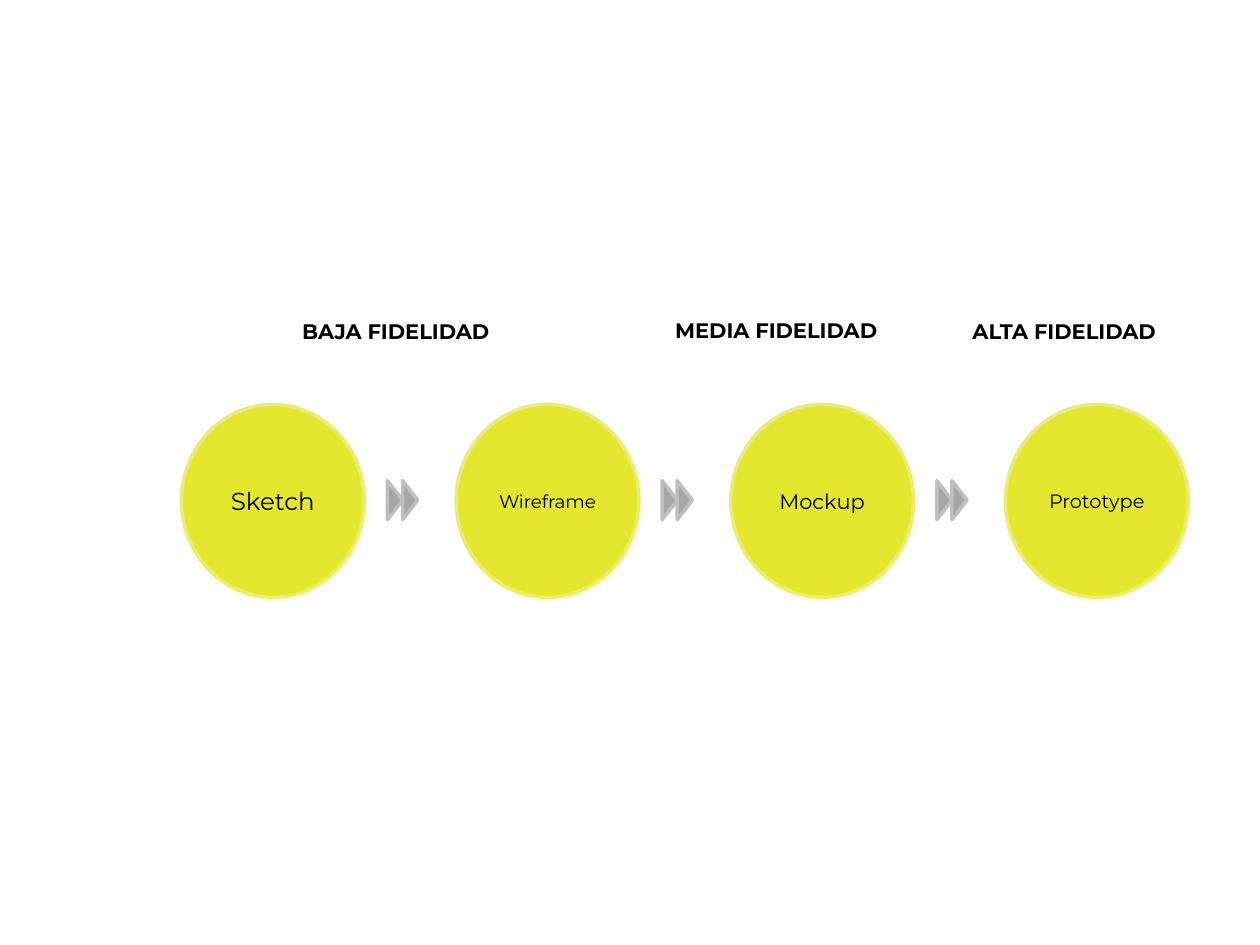
from pptx import Presentation
from pptx.dml.color import RGBColor
from pptx.enum.shapes import MSO_SHAPE
from pptx.enum.text import MSO_ANCHOR, PP_ALIGN
from pptx.util import Inches, Pt

CIRCLE = MSO_SHAPE.FLOWCHART_CONNECTOR
TRIANGLE = MSO_SHAPE.ISOSCELES_TRIANGLE
MIDDLE = MSO_ANCHOR.MIDDLE
CENTER = PP_ALIGN.CENTER

FONT = "Montserrat"
BLACK = "000000"

# Stage grid, in inches
FIRST_LEFT, PITCH = 1.44, 2.18
CIRCLE_TOP, CIRCLE_WIDTH, CIRCLE_HEIGHT = 3.21, 1.45, 1.53
ARROW_LEFT, ARROW_TOP, ARROW_STEP = 2.98, 3.91, 0.12
ARROW_WIDTH, ARROW_HEIGHT = 0.31, 0.12

# Stage name and text size
STAGES = [("Sketch", 14), ("Wireframe", 10.5), ("Mockup", 12), ("Prototype", 11)]
# Heading text, left and top
HEADINGS = [
    ("BAJA FIDELIDAD", 2.3, 2.48),
    ("MEDIA FIDELIDAD", 5.26, 2.47),
    ("ALTA FIDELIDAD", 7.62, 2.48),
]


def color(value):
    return RGBColor.from_string(value)


def write(paragraph, text, size, bold=False):
    paragraph.text = text
    paragraph.font.name = FONT
    paragraph.font.size = Pt(size)
    paragraph.font.bold = bold
    paragraph.font.color.rgb = color(BLACK)


def add_outlined(slide, kind, left, top, width, height, fill, line):
    shape = slide.shapes.add_shape(
        kind, Inches(left), Inches(top), Inches(width), Inches(height))
    shape.shadow.inherit = False
    shape.fill.solid()
    shape.fill.fore_color.rgb = color(fill)
    shape.line.color.rgb = color(line)
    shape.line.width = Pt(2)
    return shape


def add_stage(slide, column, name, size):
    circle = add_outlined(slide, CIRCLE, FIRST_LEFT + column * PITCH, CIRCLE_TOP,
                          CIRCLE_WIDTH, CIRCLE_HEIGHT, "E3E72D", "EBEE6C")
    frame = circle.text_frame
    frame.margin_left = frame.margin_right = 0
    frame.vertical_anchor = MIDDLE
    paragraph = frame.paragraphs[0]
    paragraph.alignment = CENTER
    write(paragraph, name, size)


def add_double_arrow(slide, column):
    for step in range(2):
        left = ARROW_LEFT + column * PITCH + step * ARROW_STEP
        triangle = add_outlined(slide, TRIANGLE, left, ARROW_TOP,
                                ARROW_WIDTH, ARROW_HEIGHT, "A6A6A6", "BFBFBF")
        triangle.rotation = 90


def add_heading(slide, text, left, top):
    box = slide.shapes.add_textbox(
        Inches(left), Inches(top), Inches(1.9), Inches(0.3))
    box.text_frame.word_wrap = True
    write(box.text_frame.paragraphs[0], text, 12, bold=True)


def main():
    presentation = Presentation()
    presentation.slide_width = Inches(10)
    presentation.slide_height = Inches(7.5)
    slide = presentation.slides.add_slide(presentation.slide_layouts[6])

    # Stages in a row
    for column, (name, size) in enumerate(STAGES):
        add_stage(slide, column, name, size)

    # Arrows between the stages
    for column in range(len(STAGES) - 1):
        add_double_arrow(slide, column)

    # Fidelity headings
    for text, left, top in HEADINGS:
        add_heading(slide, text, left, top)

    presentation.save("out.pptx")


if __name__ == "__main__":
    main()
